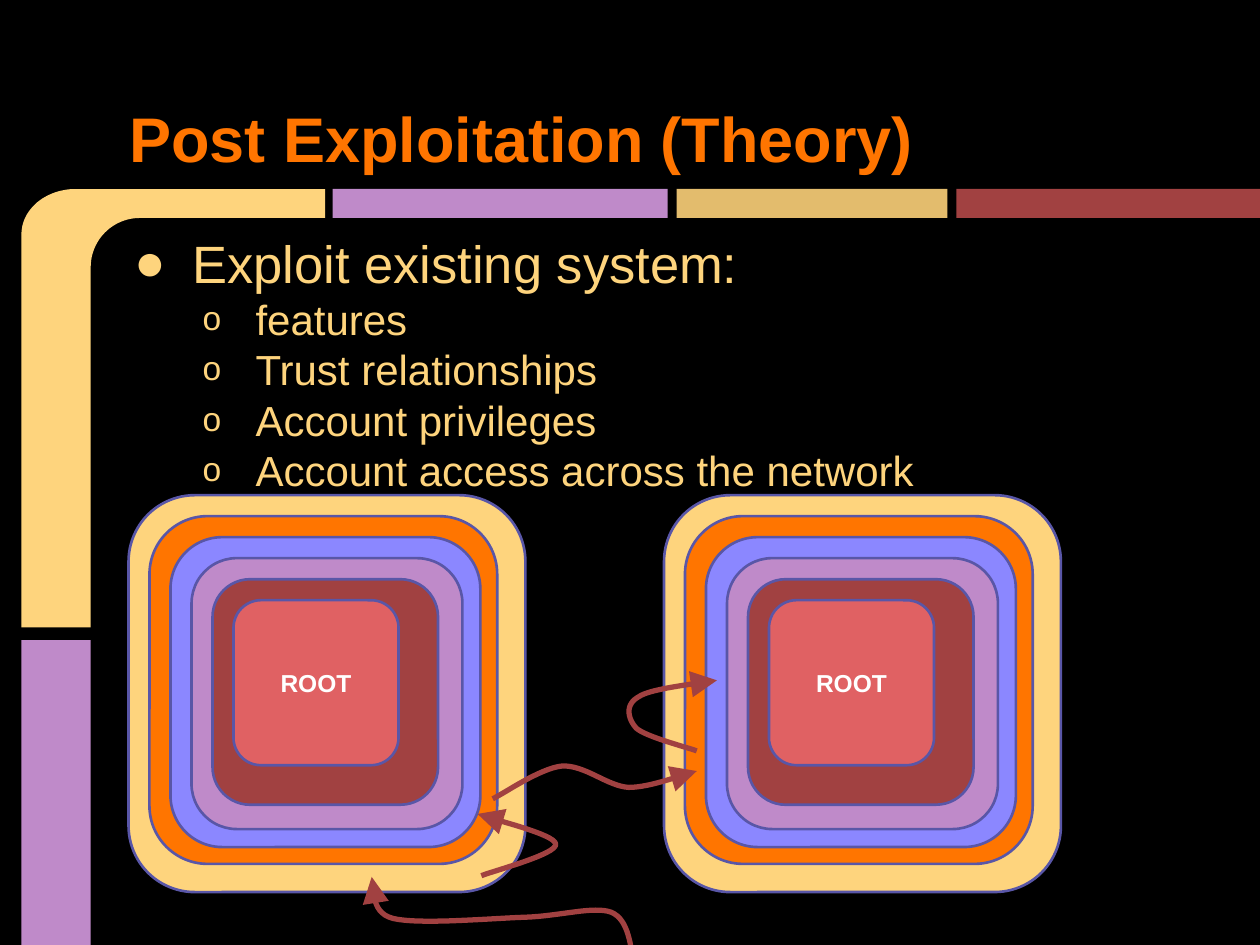
from math import cos, pi, sin

from lxml import etree
from pptx import Presentation
from pptx.dml.color import RGBColor
from pptx.enum.shapes import MSO_SHAPE
from pptx.enum.text import MSO_ANCHOR, PP_ALIGN
from pptx.oxml.ns import qn
from pptx.util import Inches, Pt

RECT, ROUND_RECT = MSO_SHAPE.RECTANGLE, MSO_SHAPE.ROUNDED_RECTANGLE
TOP, MIDDLE, BOTTOM = MSO_ANCHOR.TOP, MSO_ANCHOR.MIDDLE, MSO_ANCHOR.BOTTOM
LEFT, CENTER = PP_ALIGN.LEFT, PP_ALIGN.CENTER

THEME = {
    "font": "Arial", "title_size": 36, "body_size": 30, "item_size": 24, "label_size": 14,
    "black": "000000", "white": "FFFFFF", "cream": "FED47D", "orange": "FF7500",
    "blue": "8B87FF", "mauve": "BF8AC9", "sand": "E3BC6D", "brick": "A14141",
    "coral": "E06163", "outline": "5956A7",
}

TITLE = "Post Exploitation (Theory)"
HEADING = "Exploit existing system:"
ITEMS = ["features", "Trust relationships", "Account privileges",
         "Account access across the network"]
CORE_LABEL = "ROOT"

BARS = [  # left, top, width, height, colour
    (0.17, 5.08, 0.55, 2.42, "mauve"),
    (2.64, 1.5, 2.66, 0.23, "mauve"),
    (5.37, 1.5, 2.15, 0.23, "sand"),
    (7.59, 1.5, 2.41, 0.23, "brick"),
]
SYSTEM_LEFTS = [5.27, 1.02]
SYSTEM_TOP, RING_STEP = 3.93, 1 / 6
RINGS = [(3.15, "cream"), (2.76, "orange"), (2.46, "blue"),
         (2.15, "mauve"), (1.79, "brick"), (1.31, "coral")]

# Each path is a start point, then cubic segments of two controls and an end
ATTACK_PATHS = [
    [(3.82, 6.95), (3.92, 6.91), (4.42, 6.78), (4.41, 6.7),
     (4.41, 6.62), (3.89, 6.5), (3.79, 6.46)],
    [(3.91, 6.34), (4, 6.3), (4.28, 6.1), (4.46, 6.08), (4.64, 6.07),
     (4.82, 6.24), (4.99, 6.25), (5.17, 6.25), (5.44, 6.14), (5.53, 6.12)],
    [(5.53, 5.96), (5.45, 5.93), (5.13, 5.85), (5.05, 5.78), (4.98, 5.7),
     (4.96, 5.59), (5.07, 5.53), (5.17, 5.46), (5.59, 5.42), (5.69, 5.4)],
    [(5.03, 7.6), (5, 7.54), (5, 7.3), (4.85, 7.24), (4.71, 7.19), (4.45, 7.27),
     (4.17, 7.28), (3.88, 7.29), (3.33, 7.34), (3.12, 7.29), (2.92, 7.24),
     (2.98, 7.01), (2.95, 6.96)],
]


def color(name):
    return RGBColor.from_string(THEME[name])


def style(shape, fill=None, line=None, width=1.5):
    shape.shadow.inherit = False
    if fill:
        shape.fill.solid()
        shape.fill.fore_color.rgb = color(fill)
    else:
        shape.fill.background()
    if line:
        shape.line.color.rgb = color(line)
        shape.line.width = Pt(width)
    else:
        shape.line.fill.background()


def set_frame(shape, anchor):
    frame = shape.text_frame
    frame.word_wrap = True
    frame.vertical_anchor = anchor
    frame.margin_left = frame.margin_right = Inches(0.1)
    frame.margin_top = frame.margin_bottom = Inches(0.1)
    return frame


def write(para, text, size, ink, bold=False, align=LEFT):
    para.alignment = align
    span = para.add_run()
    span.text = text
    span.font.name = THEME["font"]
    span.font.size = Pt(THEME[size])
    span.font.bold = bold
    span.font.color.rgb = color(ink)


def add_bullet(para, char, indent, hanging, level=0, percent=100):
    para.level = level
    props = para._p.get_or_add_pPr()
    props.set("marL", str(Inches(indent)))
    props.set("indent", str(-Inches(hanging)))
    ink = etree.SubElement(props, qn("a:buClr"))
    etree.SubElement(ink, qn("a:srgbClr"), val=THEME["cream"])
    etree.SubElement(props, qn("a:buSzPct"), val=str(percent * 1000))
    etree.SubElement(props, qn("a:buFont"), typeface=THEME["font"])
    etree.SubElement(props, qn("a:buChar"), char=char)


def add_outline(page, points, close):
    """Draw straight pieces through points in inches, kept at full precision."""
    start, *rest = [(Inches(x), Inches(y)) for x, y in points]
    pen = page.shapes.build_freeform(*start)
    pen.add_line_segments(rest, close=close)
    return pen.convert_to_shape()


def arc(center, radii, start, end, steps=24):
    """Points on an ellipse, with angles in quarter turns."""
    angles = [(start + (end - start) * i / steps) * pi / 2 for i in range(steps + 1)]
    return [(center[0] + radii[0] * cos(a), center[1] + radii[1] * sin(a)) for a in angles]


def curve(knots, steps=16):
    """Points along a chain of cubic Bezier segments."""
    points = [knots[0]]
    for first in range(0, len(knots) - 1, 3):
        segment = knots[first:first + 4]
        for i in range(1, steps + 1):
            t = i / steps
            weights = ((1 - t) ** 3, 3 * t * (1 - t) ** 2, 3 * t * t * (1 - t), t ** 3)
            points.append(tuple(sum(w * knot[axis] for w, knot in zip(weights, segment))
                                for axis in (0, 1)))
    return points


def add_border(page):
    outer = arc((0.6, 1.86), (0.43, 0.36), 2, 3)
    inner = arc((1.11, 2.12), (0.39, 0.39), 3, 2)
    elbow = [(0.72, 4.98), (0.17, 4.98)] + outer + [(2.58, 1.5), (2.58, 1.73)] + inner
    style(add_outline(page, elbow, True), "cream")
    for *place, fill in BARS:
        style(page.shapes.add_shape(RECT, *map(Inches, place)), fill)


def add_texts(page):
    body = page.shapes.add_textbox(*map(Inches, (0.93, 1.73, 8.56, 5.46)))
    frame = set_frame(body, TOP)
    write(frame.paragraphs[0], HEADING, "body_size", "cream")
    add_bullet(frame.paragraphs[0], "●", 0.5, 0.46)
    for item in ITEMS:
        para = frame.add_paragraph()
        write(para, item, "item_size", "cream")
        add_bullet(para, "o", 1, 0.42, level=1, percent=80)
    title = page.shapes.add_textbox(*map(Inches, (0.93, 0.24, 8.56, 1.25)))
    write(set_frame(title, BOTTOM).paragraphs[0], TITLE, "title_size", "orange", bold=True)


def add_system(page, left):
    for depth, (side, fill) in enumerate(RINGS):
        inset = depth * RING_STEP
        ring = page.shapes.add_shape(ROUND_RECT, Inches(left + inset),
                                     Inches(SYSTEM_TOP + inset), Inches(side), Inches(side))
        ring.adjustments[0] = 0.167
        style(ring, fill, "outline")
    write(set_frame(ring, MIDDLE).paragraphs[0], CORE_LABEL, "label_size", "white",
          bold=True, align=CENTER)


def add_attack(page, knots):
    arrow = add_outline(page, curve(knots), False)
    style(arrow, line="brick", width=3)
    etree.SubElement(arrow.line._get_or_add_ln(), qn("a:tailEnd"),
                     type="triangle", w="lg", len="lg")


def main():
    deck = Presentation()
    deck.slide_width, deck.slide_height = Inches(10), Inches(7.5)
    page = deck.slides.add_slide(deck.slide_layouts[6])
    page.background.fill.solid()
    page.background.fill.fore_color.rgb = color("black")
    add_border(page)
    add_texts(page)
    for left in SYSTEM_LEFTS:
        add_system(page, left)
    for knots in ATTACK_PATHS:
        add_attack(page, knots)
    deck.save("out.pptx")


if __name__ == "__main__":
    main()
